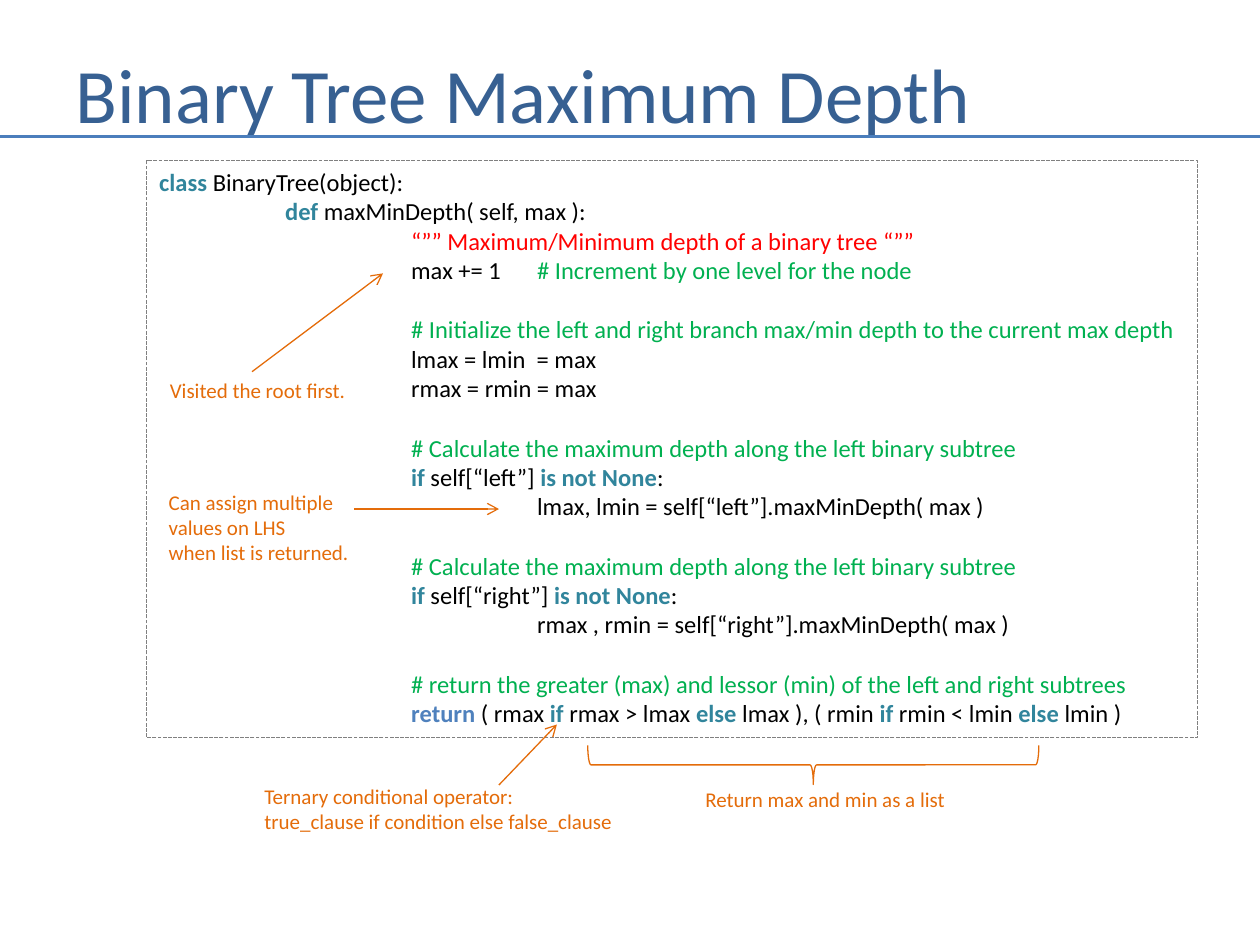
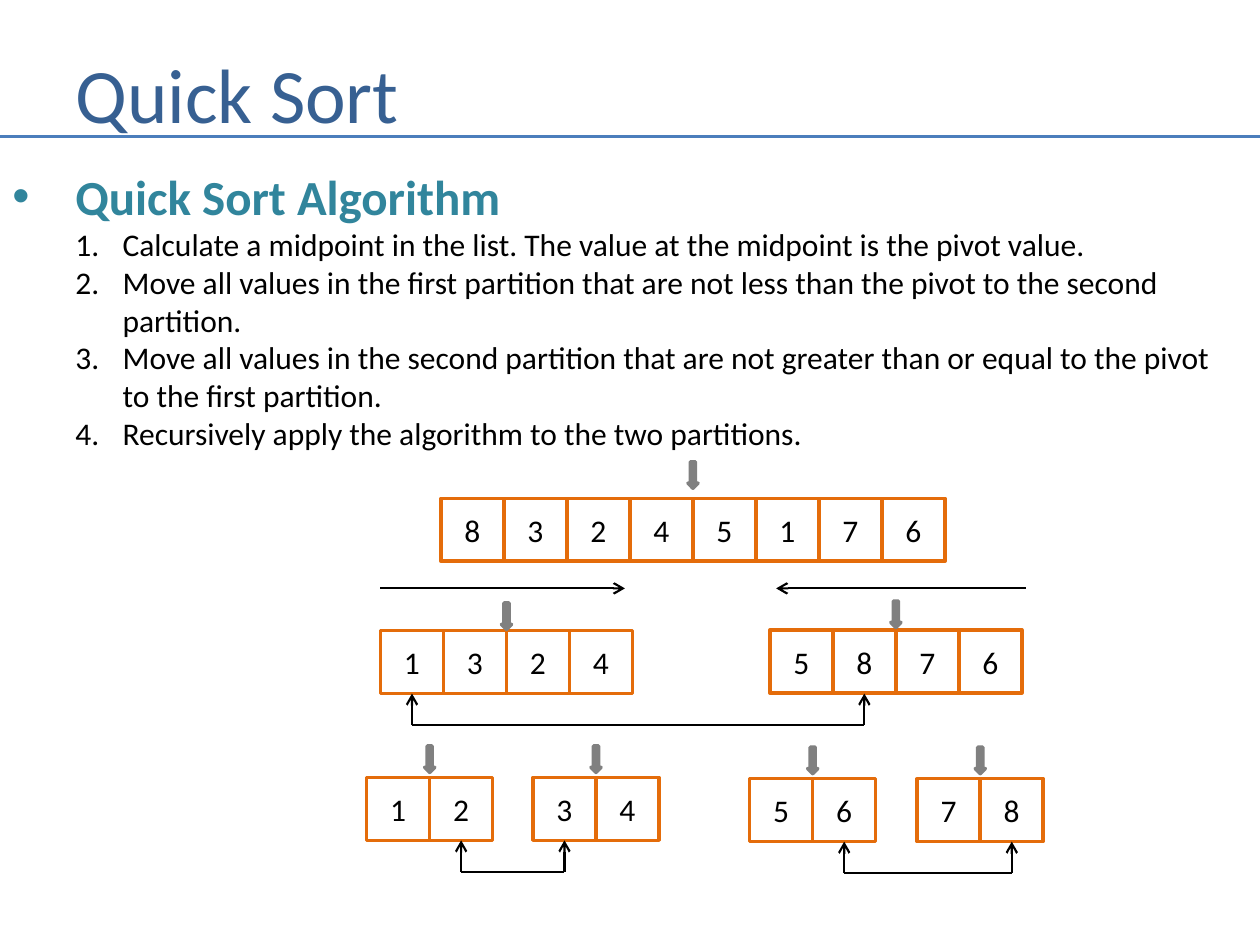
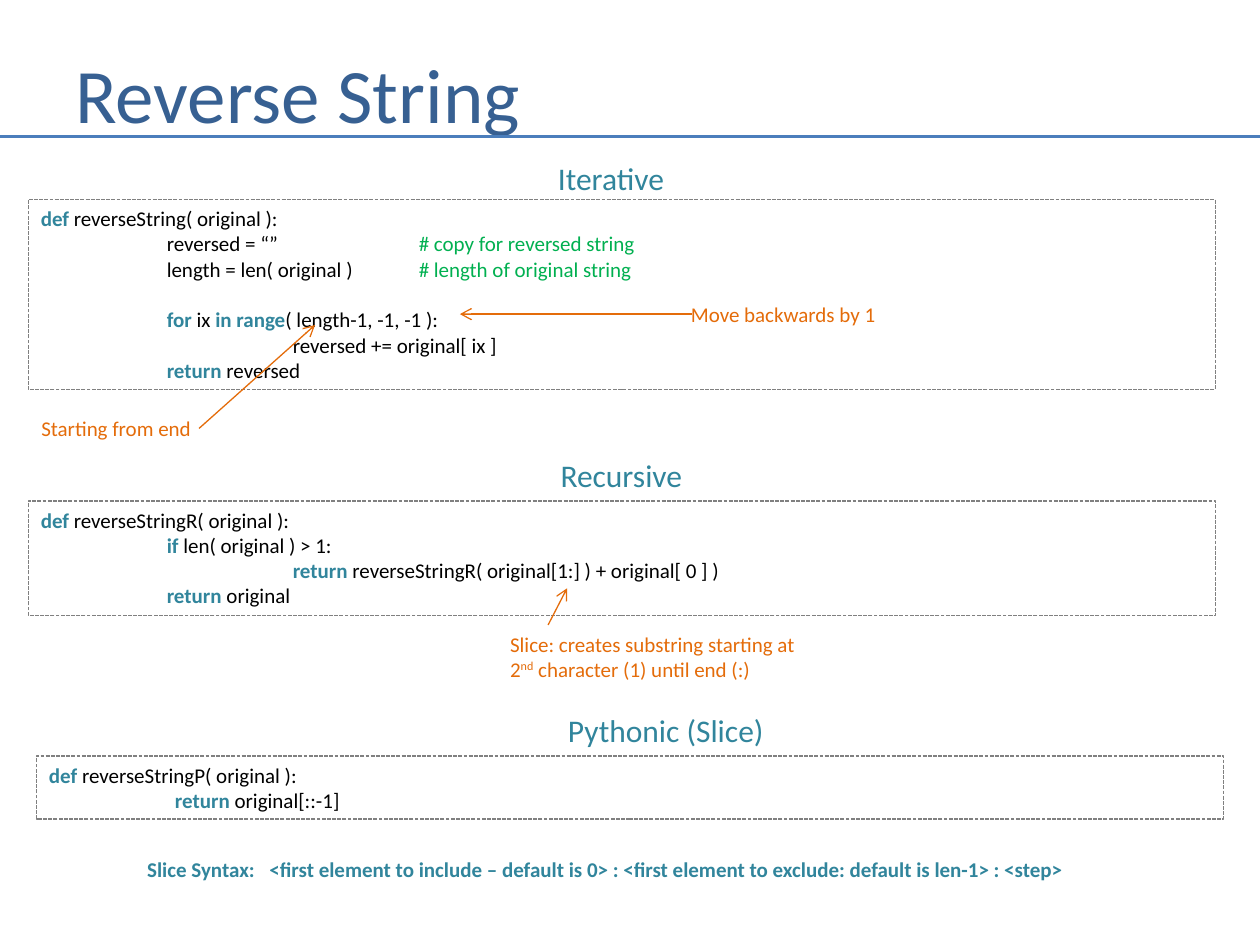
from typing import Iterator, NamedTuple, Optional

import lxml.etree
import pptx
import pptx.dml.color
import pptx.enum.dml
import pptx.enum.shapes
import pptx.enum.text
import pptx.oxml.ns
import pptx.util

SLIDE_W = pptx.util.Inches(10)
SLIDE_H = pptx.util.Inches(7.5)
COLUMNS = 100  # square grid: 100 columns by 75 rows
FONT = "Calibri"
BLACK, WHITE, GREY = "000000", "FFFFFF", "808080"
NAVY, RULE, TEAL, BLUE = "376092", "4B7EBC", "31859C", "4F81BD"
ORANGE, GREEN, RED = "E46C0A", "00B050", "FF0000"
LINE_HEIGHT = 1.22  # of the font size
CODE_TABS = (10, 20, 30, 40)
CELL = 5
SWAP_DROP = 2.5

SHAPES = pptx.enum.shapes.MSO_SHAPE
ANCHOR = pptx.enum.text.MSO_ANCHOR
ALIGN = pptx.enum.text.PP_ALIGN


class Box(NamedTuple):
    """Left, top, width and height in grid units."""
    x: float
    y: float
    w: float
    h: float


class Run(NamedTuple):
    text: str
    color: str
    bold: bool = False
    raised: bool = False


class Listing(NamedTuple):
    box: Box
    size: int
    code: list[str]
    return_color: str = TEAL


class Note(NamedTuple):
    box: Box
    lines: list[str]


class Arrow(NamedTuple):
    x1: float
    y1: float
    x2: float
    y2: float


class Array(NamedTuple):
    x: float
    y: float
    values: str
    pointer_gap: float = 2.5


class Swap(NamedTuple):
    """Two cells, each given by its array and its index there."""
    first: Array
    i: int
    second: Array
    j: int


def grid(units: float) -> int:
    return round(SLIDE_W * units / COLUMNS)


def rgb(color: str):
    return pptx.dml.color.RGBColor.from_string(color)


def sub(parent, tag: str, **attrs: str):
    return lxml.etree.SubElement(parent, pptx.oxml.ns.qn(tag), **attrs)


def add_runs(p, runs, size: float) -> None:
    for run in runs:
        r = p.add_run()
        r.text = run.text
        r.font.name, r.font.size = FONT, pptx.util.Pt(size)
        r.font.bold, r.font.color.rgb = run.bold, rgb(run.color)
        if run.raised:
            r.font._element.set("baseline", "30000")


def set_tabs(p, stops) -> None:
    tabs = sub(p._p.get_or_add_pPr(), "a:tabLst")
    for stop in stops:
        sub(tabs, "a:tab", pos=str(grid(stop)), algn="l")


def add_text(slide, box: Box, paragraphs, size: float, wrap: bool = True):
    tf = slide.shapes.add_textbox(*map(grid, box)).text_frame
    tf.word_wrap = wrap
    for n, runs in enumerate(paragraphs):
        p = tf.add_paragraph() if n else tf.paragraphs[0]
        add_runs(p, runs, size)
    return tf


def add_box(slide, kind, box: Box, fill: Optional[str], line: str, width: float):
    sp = slide.shapes.add_shape(kind, *map(grid, box))
    sp.shadow.inherit = False
    if fill:
        sp.fill.solid()
        sp.fill.fore_color.rgb = rgb(fill)
    else:
        sp.fill.background()
    sp.line.color.rgb = rgb(line)
    sp.line.width = pptx.util.Pt(width)
    return sp


def add_line(slide, arrow: Arrow, color: str, width: float, head: bool = True) -> None:
    straight = pptx.enum.shapes.MSO_CONNECTOR.STRAIGHT
    cx = slide.shapes.add_connector(straight, *map(grid, arrow))
    cx.line.color.rgb = rgb(color)
    cx.line.width = pptx.util.Pt(width)
    if head:
        sub(cx.line._get_or_add_ln(), "a:tailEnd", type="arrow")
    sub(cx._element.spPr, "a:effectLst")


def add_slide(prs, title: str):
    slide = prs.slides.add_slide(prs.slide_layouts[6])
    tf = add_text(slide, Box(5, 3, 90.8, 8.7), [[Run(title, NAVY)]], 44)
    tf.vertical_anchor = ANCHOR.MIDDLE
    add_line(slide, Arrow(0, 10.83, COLUMNS, 10.83), RULE, 1.5, head=False)
    return slide


def highlight(line: str, return_color: str) -> Iterator[Run]:
    """Colour a line of code, in which *stars* enclose keywords."""
    code, mark, comment = line.partition("#")
    plain = RED if "“””" in code else BLACK
    for n, part in enumerate(code.split("*")):
        if n % 2:
            color = return_color if part.strip() == "return" else TEAL
            yield Run(part, color, bold=True)
        elif part:
            yield Run(part, plain)
    if mark:
        yield Run(mark + comment, GREEN)


def add_listing(slide, listing: Listing) -> None:
    sp = add_box(slide, SHAPES.RECTANGLE, listing.box, None, GREY, 0.75)
    sp.line.dash_style = pptx.enum.dml.MSO_LINE.SQUARE_DOT
    tf = sp.text_frame
    tf.word_wrap, tf.vertical_anchor = True, ANCHOR.TOP
    p, gap = tf.paragraphs[0], 0
    for n, line in enumerate(listing.code):
        if not line:
            gap = listing.size * LINE_HEIGHT
            continue
        p = tf.add_paragraph() if n else p
        p.alignment = ALIGN.LEFT
        set_tabs(p, CODE_TABS)
        if gap:
            p.space_before, gap = pptx.util.Pt(gap), 0
        add_runs(p, highlight(line, listing.return_color), listing.size)


def add_note(slide, note: Note) -> None:
    """Write a note, in which ^carets^ enclose raised text."""
    paragraphs = [[Run(part, ORANGE, raised=n % 2 == 1)
                   for n, part in enumerate(line.split("^"))] for line in note.lines]
    add_text(slide, note.box, paragraphs, 12)


def annotate(slide, listings, notes, arrows) -> None:
    for listing in listings:
        add_listing(slide, listing)
    for note in notes:
        add_note(slide, note)
    for arrow in arrows:
        add_line(slide, arrow, ORANGE, 0.75)


def set_bullet(p, left: float, hang: float, tag: str, **attrs: str) -> None:
    pPr = p._p.get_or_add_pPr()
    pPr.set("marL", str(grid(left)))
    pPr.set("indent", str(-grid(hang)))
    sub(pPr, "a:buFont", typeface="Arial" if tag == "a:buChar" else "+mj-lt")
    sub(pPr, tag, **attrs)


def add_array(slide, array: Array) -> None:
    for n, value in enumerate(array.values):
        cell = Box(array.x + n * CELL, array.y, CELL, CELL)
        tf = add_box(slide, SHAPES.RECTANGLE, cell, WHITE, ORANGE, 2).text_frame
        tf.vertical_anchor = ANCHOR.MIDDLE
        p = tf.paragraphs[0]
        p.alignment = ALIGN.CENTER
        add_runs(p, [Run(value, BLACK)], 18)
    middle = array.x + len(array.values) * CELL / 2
    pointer = Box(middle - 0.4, array.y - array.pointer_gap, 0.8, 2.1)
    add_box(slide, SHAPES.DOWN_ARROW, pointer, GREY, GREY, 2)


def add_swap(slide, swap: Swap) -> None:
    ends = [array.x + (n + 0.5) * CELL
            for array, n in ((swap.first, swap.i), (swap.second, swap.j))]
    top = swap.first.y + CELL
    bottom = top + SWAP_DROP
    add_line(slide, Arrow(ends[0], bottom, ends[1], bottom), BLACK, 1.25, head=False)
    for x in ends:
        add_line(slide, Arrow(x, bottom, x, top), BLACK, 1.25)


def build_depth(prs) -> None:
    slide = add_slide(prs, "Binary Tree Maximum Depth")
    listing = Listing(Box(11.65, 12.75, 83.4, 45.8), 14, [
        "*class *BinaryTree(object):",
        "\t*def *maxMinDepth( self, max ):",
        "\t\t“”” Maximum/Minimum depth of a binary tree “””",
        "\t\tmax += 1\t# Increment by one level for the node",
        "",
        "\t\t# Initialize the left and right branch max/min depth to the current max depth",
        "\t\tlmax = lmin  = max",
        "\t\trmax = rmin = max",
        "",
        "\t\t# Calculate the maximum depth along the left binary subtree",
        "\t\t*if *self[“left”] *is not None*:",
        "\t\t\tlmax, lmin = self[“left”].maxMinDepth( max )",
        "",
        "\t\t# Calculate the maximum depth along the left binary subtree",
        "\t\t*if *self[“right”] *is not None*:",
        "\t\t\trmax , rmin = self[“right”].maxMinDepth( max )",
        "",
        "\t\t# return the greater (max) and lessor (min) of the left and right subtrees",
        "\t\t*return* ( rmax *if *rmax > lmax *else *lmax ), "
        "( rmin *if *rmin < lmin *else *lmin )",
    ], return_color=BLUE)
    notes = [
        Note(Box(20, 61.7, 45.8, 5), ["Ternary conditional operator:",
                                      "true_clause if condition else false_clause"]),
        Note(Box(12.5, 29.5, 16.7, 3), ["Visited the root first."]),
        Note(Box(55, 61.9, 21.7, 3), ["Return max and min as a list"]),
        Note(Box(12.4, 38.35, 21.7, 7.1), ["Can assign multiple", "values on LHS",
                                           "when list is returned."]),
    ]
    arrows = [Arrow(39.6, 62.3, 44.2, 57.5), Arrow(20, 29.5, 30.4, 21.7),
              Arrow(28.1, 40.4, 39.6, 40.4)]
    annotate(slide, [listing], notes, arrows)
    brace = add_box(slide, SHAPES.LEFT_BRACE, Box(63, 42.8, 3.1, 35.8), None, ORANGE, 0.75)
    brace.rotation = 270


def build_quick_sort(prs) -> None:
    slide = add_slide(prs, "Quick Sort")
    tf = add_text(slide, Box(0, 12.7, 98, 23.9), [[]], 28)
    p = tf.paragraphs[0]
    set_bullet(p, 5, 5, "a:buChar", char="•")
    add_runs(p, [Run("Quick Sort Algorithm", TEAL, bold=True)], 28)
    for step in (
        "Calculate a midpoint in the list. The value at the midpoint is the pivot value.",
        "Move all values in the first partition that are not less than the pivot "
        "to the second partition.",
        "Move all values in the second partition that are not greater than or equal "
        "to the pivot to the first partition.",
        "Recursively apply the algorithm to the two partitions.",
    ):
        p = tf.add_paragraph()
        p.level = 1
        set_bullet(p, 8.75, 3.75, "a:buAutoNum", type="arabicPeriod")
        add_runs(p, [Run(step, BLACK)], 18)

    whole = Array(35, 39.55, "83245176", 2.9)
    low, high = Array(30.2, 50.05, "1324", 2.2), Array(61.1, 50, "5876", 2.3)
    quarters = [Array(29.1, 61.7, "12"), Array(42.3, 61.7, "34"),
                Array(59.5, 61.8, "56"), Array(72.8, 61.8, "78")]
    for array in (whole, low, high, *quarters):
        add_array(slide, array)
    for scan in (Arrow(30.2, 46.7, 49.6, 46.7), Arrow(81.4, 46.7, 61.6, 46.7)):
        add_line(slide, scan, BLACK, 1.25)
    for swap in (Swap(low, 0, high, 1), Swap(quarters[0], 1, quarters[1], 0),
                 Swap(quarters[2], 1, quarters[3], 1)):
        add_swap(slide, swap)


def build_reverse(prs) -> None:
    slide = add_slide(prs, "Reverse String")
    listings = [
        Listing(Box(2.25, 15.83, 94.2, 15.1), 12, [
            "*def *reverseString( original ):",
            "\treversed = “”\t\t# copy for reversed string",
            "\tlength = len( original )\t# length of original string",
            "",
            "\t*for* ix *in range*( length-1, -1, -1 ):",
            "\t\treversed += original[ ix ]",
            "\t*return* reversed",
        ]),
        Listing(Box(2.25, 39.75, 94.2, 9.1), 12, [
            "*def *reverseStringR( original ):",
            "\t*if *len( original ) > 1:",
            "\t\t*return *reverseStringR( original[1:] ) + original[ 0 ] )",
            "\t*return *original",
        ]),
        Listing(Box(2.9, 60, 94.2, 5), 12, [
            "*def *reverseStringP( original ):",
            "\t*return *original[::-1]",
        ]),
    ]
    notes = [
        Note(Box(2.3, 32.5, 14.4, 3), ["Starting from end"]),
        Note(Box(53.85, 23.45, 18.3, 3), ["Move backwards by 1"]),
        Note(Box(39.5, 49.6, 24.7, 5), [
            "Slice: creates substring starting at 2^nd^ character (1) until end (:)"]),
    ]
    arrows = [Arrow(15.8, 34, 25, 25.8), Arrow(54.9, 24.93, 36.5, 24.93),
              Arrow(43.5, 49.6, 45, 46.7)]
    annotate(slide, listings, notes, arrows)
    for heading, box in (("Iterative", Box(43.3, 12.1, 10.5, 4)),
                         ("Recursive", Box(43.5, 35.7, 11.8, 4)),
                         ("Pythonic (Slice)", Box(44.1, 55.95, 18.3, 4))):
        add_text(slide, box, [[Run(heading, TEAL)]], 18, wrap=False)
    syntax = ("Slice Syntax:\t<first element to include – default is 0> : "
              "<first element to exclude: default is len-1> : <step>")
    tf = add_text(slide, Box(10.7, 67.5, 78.4, 3), [[]], 12)
    p = tf.paragraphs[0]
    set_tabs(p, [9.7])
    add_runs(p, [Run(syntax, TEAL, bold=True)], 12)


def main() -> None:
    prs = pptx.Presentation()
    prs.slide_width, prs.slide_height = SLIDE_W, SLIDE_H
    build_depth(prs)
    build_quick_sort(prs)
    build_reverse(prs)
    prs.save("out.pptx")


if __name__ == "__main__":
    main()
